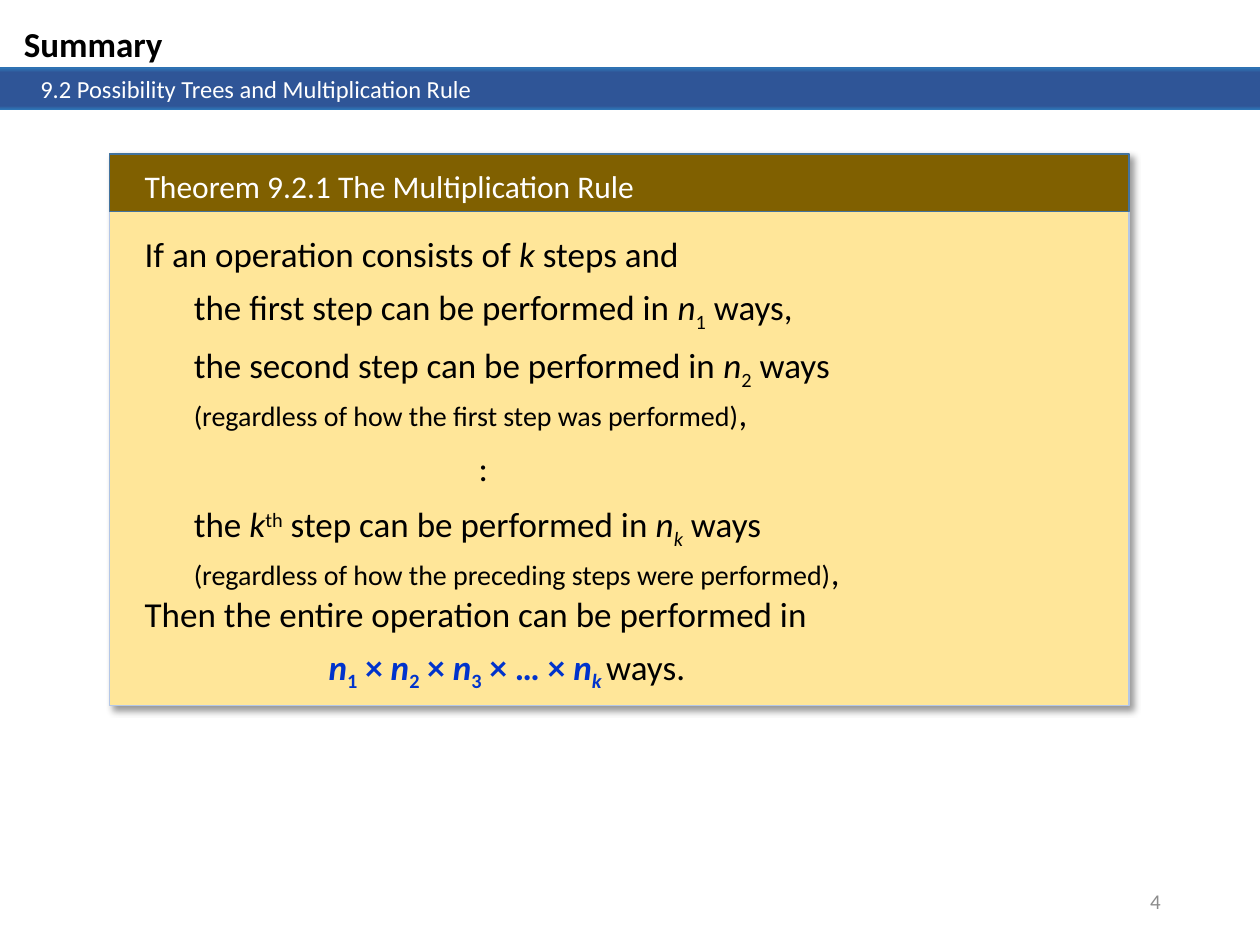
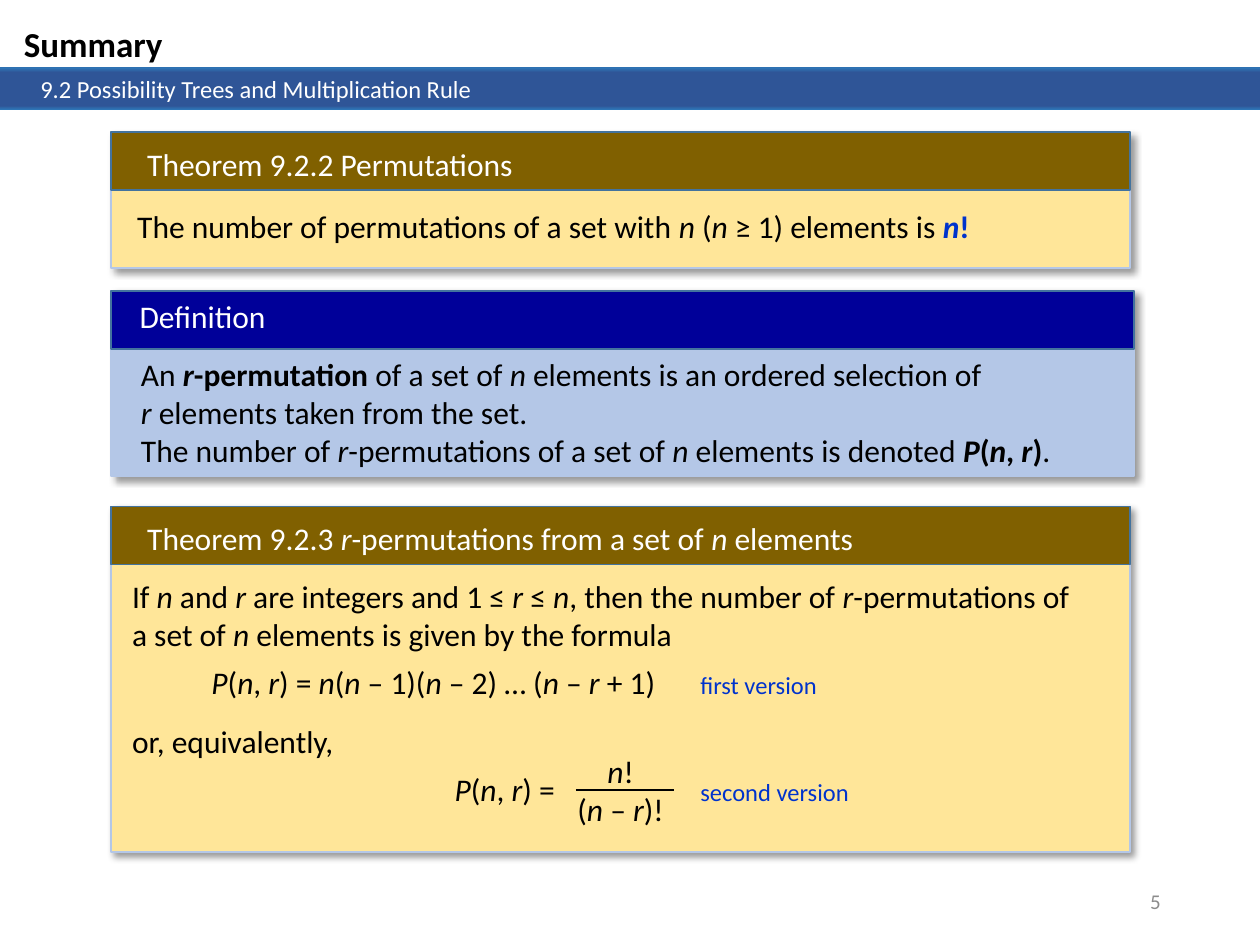
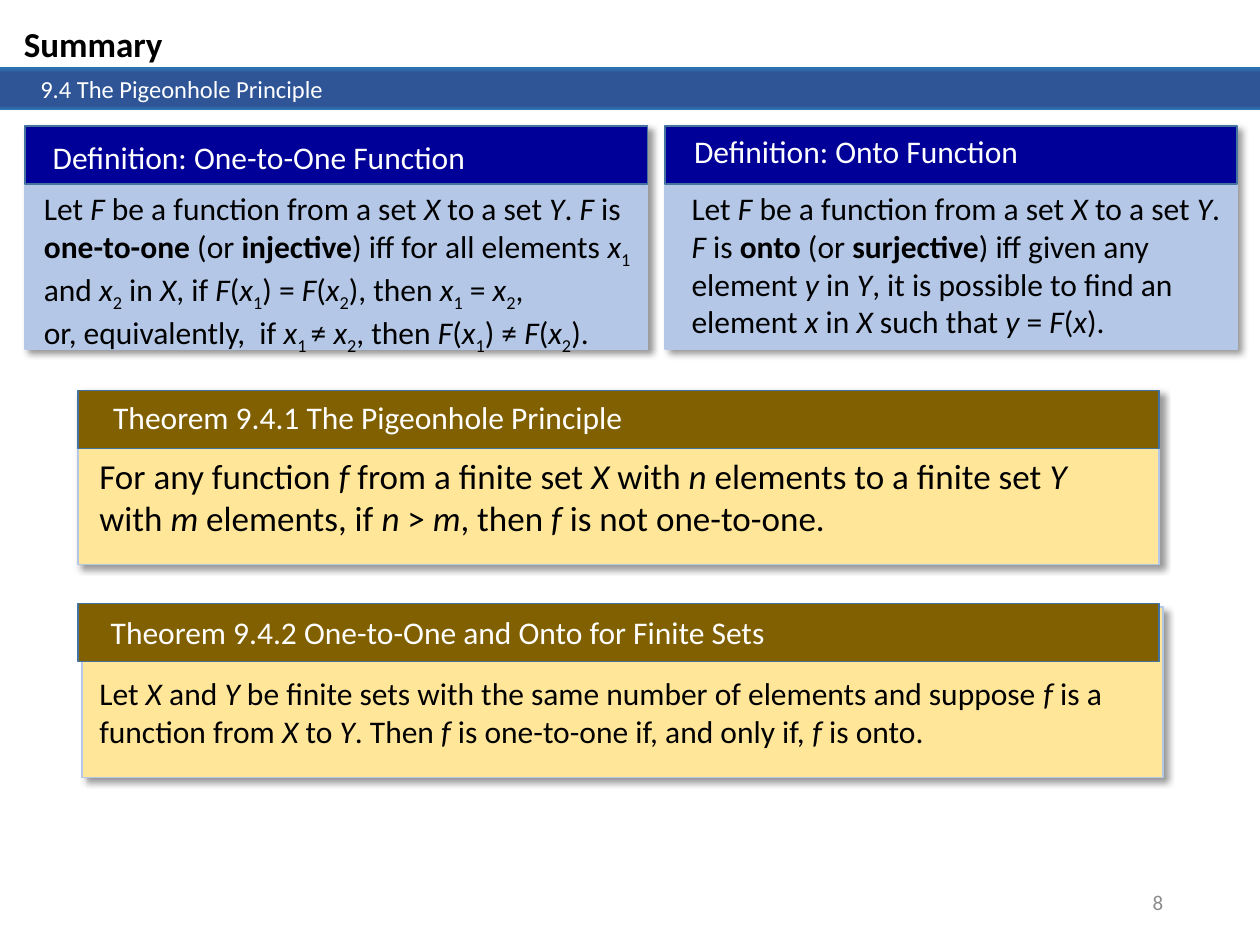
from copy import deepcopy
from dataclasses import dataclass
from typing import Iterator

from pptx import Presentation
from pptx.dml.color import RGBColor
from pptx.enum.shapes import MSO_CONNECTOR, MSO_SHAPE
from pptx.enum.text import MSO_ANCHOR, MSO_AUTO_SIZE, PP_ALIGN
from pptx.oxml import parse_xml
from pptx.oxml.ns import nsdecls, qn
from pptx.shapes.autoshape import Shape
from pptx.slide import Slide
from pptx.text.text import TextFrame
from pptx.util import Inches, Pt

RECT = MSO_SHAPE.RECTANGLE
STRAIGHT = MSO_CONNECTOR.STRAIGHT
TOP, MIDDLE = MSO_ANCHOR.TOP, MSO_ANCHOR.MIDDLE
GROW = MSO_AUTO_SIZE.SHAPE_TO_FIT_TEXT
LEFT, CENTER, RIGHT = PP_ALIGN.LEFT, PP_ALIGN.CENTER, PP_ALIGN.RIGHT

FONT = "Calibri"
COLORS = {
    "black": "000000", "white": "FFFFFF", "gray": "8C8C8C", "blue": "0033CC",
    "edge": "2E75B6", "band": "2F5597", "brown": "806000", "cream": "FFE699",
    "navy": "000099", "pale": "B4C7E7", "rim": "43739E",
}
KINDS = {"theorem": ("cream", "brown"), "term": ("pale", "navy")}
STOPS = ((0, "edge"), (0.11, "band"), (0.91, "band"), (1, "edge"))
BASES = {"_": "-25000", "^": "30000"}
MARKS = "/*_^#@"
HEAD = 0.46

Box = tuple[float, float, float, float]


@dataclass
class Line:
    """A paragraph; / * _ ^ # @ switch italic, bold, sub, super, blue, small."""
    text: str
    size: float = 18
    color: str = "black"
    before: float = 0
    after: float = 0
    tabs: tuple[float, ...] = ()
    small: float = 14
    align: PP_ALIGN = LEFT


@dataclass
class Card:
    """A titled panel with a body text."""
    kind: str
    box: Box
    title: str
    title_box: Box
    body_box: Box
    lines: list[Line]
    shift: float = 0


@dataclass
class Page:
    """One summary slide."""
    topic: str
    number: str
    foot: tuple[float, float]
    cards: list[Card]


def color(name: str) -> RGBColor:
    """Look up a colour by name."""
    return RGBColor.from_string(COLORS[name])


def pieces(text: str) -> Iterator[tuple[str, set[str]]]:
    """Split marked text into plain pieces with their active marks."""
    active: set[str] = set()
    word = ""
    for char in text:
        if char in MARKS or char == "\n":
            if word:
                yield word, set(active)
            word = ""
            if char == "\n":
                yield char, set()
            else:
                active ^= {char}
        else:
            word += char
    if word:
        yield word, active


def write(frame: TextFrame, lines: list[Line]) -> None:
    """Fill a text frame with lines, run by run."""
    for index, line in enumerate(lines):
        para = frame.add_paragraph() if index else frame.paragraphs[0]
        para.alignment = line.align
        para.space_before, para.space_after = Pt(line.before), Pt(line.after)
        if line.tabs:
            stops = "".join(f'<a:tab pos="{Inches(tab)}" algn="l"/>' for tab in line.tabs)
            para._p.get_or_add_pPr().append(
                parse_xml(f'<a:tabLst {nsdecls("a")}>{stops}</a:tabLst>'))
        for text, marks in pieces(line.text):
            if text == "\n":
                para.add_line_break()
                continue
            run = para.add_run()
            run.text = text
            font = run.font
            font.name = FONT
            font.size = Pt(line.small if "@" in marks else line.size)
            font.bold, font.italic = "*" in marks, "/" in marks
            font.color.rgb = color("blue" if "#" in marks else line.color)
            for mark in marks & BASES.keys():
                run._r.get_or_add_rPr().set("baseline", BASES[mark])


def label(slide: Slide, box: Box, lines: list[Line], grow: bool = True) -> None:
    """Add a wrapped text box."""
    frame = slide.shapes.add_textbox(*map(Inches, box)).text_frame
    frame.word_wrap = True
    if grow:
        frame.auto_size = GROW
    else:
        frame.vertical_anchor = MIDDLE
    write(frame, lines)


def panel(slide: Slide, box: Box, fill: str, rim: str) -> Shape:
    """Add a filled rectangle with a thin rim."""
    shape = slide.shapes.add_shape(RECT, *map(Inches, box))
    shape.shadow.inherit = False
    shape.fill.solid()
    shape.fill.fore_color.rgb = color(fill)
    shape.line.color.rgb = color(rim)
    shape.line.width = Pt(1)
    return shape


def shade(shape: Shape) -> None:
    """Give a shape a soft shadow to the lower right."""
    effects = shape._element.spPr.find(qn("a:effectLst"))
    effects.append(parse_xml(
        f'<a:outerShdw {nsdecls("a")} blurRad="{Pt(4)}" dist="{Pt(3)}" dir="2700000"'
        f' algn="tl" rotWithShape="0"><a:srgbClr val="{COLORS["black"]}">'
        '<a:alpha val="40000"/></a:srgbClr></a:outerShdw>'))


def band(slide: Slide, top: float, height: float) -> Shape:
    """Add a full-width band with a vertical gradient."""
    shape = slide.shapes.add_shape(RECT, 0, Inches(top), Inches(10), Inches(height))
    shape.shadow.inherit = False
    shape.line.fill.background()
    fill = shape.fill
    fill.gradient()
    fill.gradient_angle = 270
    stops = shape._element.spPr.find(".//" + qn("a:gsLst"))
    for _ in STOPS[2:]:
        stops.append(deepcopy(stops[0]))
    for stop, (place, name) in zip(fill.gradient_stops, STOPS):
        stop.position = place
        stop.color.rgb = color(name)
    return shape


def frame_page(slide: Slide, page: Page) -> None:
    """Draw the bands, title and page number."""
    band(slide, 0.53, 0.3)
    label(slide, (*page.foot, 2.25, 0.4),
          [Line(page.number, 12, "gray", align=RIGHT)], grow=False)
    frame = band(slide, 0.54, 0.33).text_frame
    frame.vertical_anchor = TOP
    frame.margin_left = Inches(0.32)
    write(frame, [Line(page.topic, 14, "white")])
    label(slide, (0.09, 0.13, 2.69, 0.44), [Line("*Summary*", 20)])


def draw_card(slide: Slide, card: Card) -> None:
    """Draw a card: body, head, title and text."""
    body, head = KINDS[card.kind]
    left, top, width, height = card.box
    shade(panel(slide, (left + card.shift, top + card.shift, width, height), body, "pale"))
    panel(slide, (left, top, width, HEAD), head, "rim")
    label(slide, card.title_box, [Line(card.title, color="white")])
    label(slide, card.body_box, card.lines)


def draw_ratio(slide: Slide) -> None:
    """Draw the fraction of the second formula."""
    label(slide, (4.39, 5.92, 1.07, 0.71),
          [Line("/n/!", align=CENTER), Line("(/n/ – /r/)!", align=CENTER)])
    rule = slide.shapes.add_connector(
        STRAIGHT, Inches(4.57), Inches(6.27), Inches(5.35), Inches(6.27))
    rule.line.color.rgb = color("black")
    rule.line.width = Pt(1)
    rule._element.spPr.append(parse_xml(f'<a:effectLst {nsdecls("a")}/>'))


STEP = (0.39,)
COUNTING = "9.2 Possibility Trees and Multiplication Rule"
FOOT = (7.06, 6.95)

RULE = Page(COUNTING, "4", FOOT, [
    Card("theorem", (0.87, 1.22, 8.09, 4.38), "Theorem 9.2.1 The Multiplication Rule",
         (1.05, 1.28, 7.74, 0.4), (1.05, 1.8, 7.07, 3.6), [
             Line("If an operation consists of /k/ steps and", 20, after=6),
             Line("\tthe first step can be performed in /n/_1_ ways,", 20, after=6, tabs=STEP),
             Line("\tthe second step can be performed in /n/_2_ ways", 20, tabs=STEP),
             Line("\t@(regardless of how the first step was performed)@,", 20,
                  tabs=STEP, small=16),
             Line("\t:", 20, before=7.5, after=8, tabs=(2.65,)),
             Line("\tthe /k/^th^ step can be performed in /n_k_/ ways", 20, tabs=STEP),
             Line("\t@(regardless of how the preceding steps were performed)@,", 20,
                  tabs=STEP, small=16),
             Line("Then the entire operation can be performed in", 20, after=6),
             Line("\t#*/n/_1_ × /n/_2_ × /n/_3_ × … × /n_k _/*#ways.", 20,
                  after=6, tabs=(1.46,)),
         ]),
])

ORDER = Page(COUNTING, "5", FOOT, [
    Card("theorem", (0.88, 1.05, 8.09, 1.08), "Theorem 9.2.2 Permutations",
         (1.07, 1.1, 7.74, 0.4), (0.99, 1.59, 7.35, 0.4), [
             Line("The number of permutations of a set with /n/ (/n/ ≥ 1) elements is #*/n/!*#",
                  after=6),
         ]),
    Card("theorem", (0.88, 4.02, 8.09, 2.74),
         "Theorem 9.2.3 /r/-permutations from a set of /n/ elements",
         (1.07, 4.07, 7.74, 0.4), (0.95, 4.53, 7.64, 2.02), [
             Line("If /n/ and /r/ are integers and 1 ≤ /r/ ≤ /n/, then the number of "
                  "/r/-permutations of a set of /n/ elements is given by the formula", after=6),
             Line("\t/P/(/n/, /r/) = /n/(/n/ – 1)(/n/ – 2) … (/n/ – /r/ + 1)\t"
                  "@#first version#@", tabs=(0.63, 4.51)),
             Line("or, equivalently,", before=12, after=6),
             Line("\t/P/(/n/, /r/) =\t@#second version#@", after=6, tabs=(2.56, 4.51)),
         ]),
    Card("term", (0.88, 2.31, 8.12, 1.47), "Definition",
         (1.01, 2.31, 4.63, 0.4), (1.02, 2.77, 7.98, 1.01), [
             Line("An */r/-permutation* of a set of /n/ elements is an ordered selection of\n"
                  "/r/ elements taken from the set."),
             Line("The number of /r/-permutations of a set of /n/ elements is denoted "
                  "*/P/(/n/, /r/)*."),
         ]),
])

HOLES = Page("9.4 The Pigeonhole Principle", "8", (7.08, 6.96), [
    Card("term", (0.2, 1, 4.94, 1.77), "Definition: One-to-One Function",
         (0.32, 1.05, 4, 0.4), (0.25, 1.45, 4.88, 1.31), [
             Line("Let /F/ be a function from a set /X/ to a set /Y/. /F/ is *one-to-one* "
                  "(or *injective*) iff for all elements /x/_1_ and /x/_2_ in /X/, "
                  "if /F/(/x/_1_) = /F/(/x/_2_), then /x/_1_ = /x/_2_,"),
             Line("or, equivalently,  if /x/_1 _≠ /x/_2_, then /F/(/x/_1_) ≠ /F/(/x/_2_)."),
         ]),
    Card("term", (5.28, 1, 4.54, 1.77), "Definition: Onto Function",
         (5.41, 1, 3.48, 0.4), (5.39, 1.45, 4.43, 1.31), [
             Line("Let /F/ be a function from a set /X/ to a set /Y/. /F/ is *onto* "
                  "(or *surjective*) iff given any element /y/ in /Y/, it is possible to find "
                  "an element /x/ in /X/ such that /y/ = /F/(/x/)."),
         ]),
    Card("theorem", (0.62, 3.1, 8.58, 1.38), "Theorem 9.4.1 The Pigeonhole Principle",
         (0.8, 3.11, 5.96, 0.4), (0.69, 3.56, 8.37, 0.77), [
             Line("For any function /f/ from a finite set /X/ with /n/ elements to a finite set "
                  "/Y/ with /m/ elements, if /n/ > /m/, then /f/ is not one-to-one.", 20),
         ]),
    Card("theorem", (0.62, 4.79, 8.58, 1.35),
         "Theorem 9.4.2 One-to-One and Onto for Finite Sets",
         (0.78, 4.82, 7.39, 0.4), (0.69, 5.3, 8.37, 0.71), [
             Line("Let /X/ and /Y/ be finite sets with the same number of elements and suppose "
                  "/f/ is a function from /X/ to /Y/. Then /f/ is one-to-one if, and only if, "
                  "/f/ is onto."),
         ], shift=0.03),
])


def main() -> None:
    """Build and save the slides."""
    deck = Presentation()
    deck.slide_width, deck.slide_height = Inches(10), Inches(7.5)
    for page in (RULE, ORDER, HOLES):
        slide = deck.slides.add_slide(deck.slide_layouts[6])
        frame_page(slide, page)
        for card in page.cards:
            draw_card(slide, card)
        if page is ORDER:
            draw_ratio(slide)
    deck.save("out.pptx")


main()
